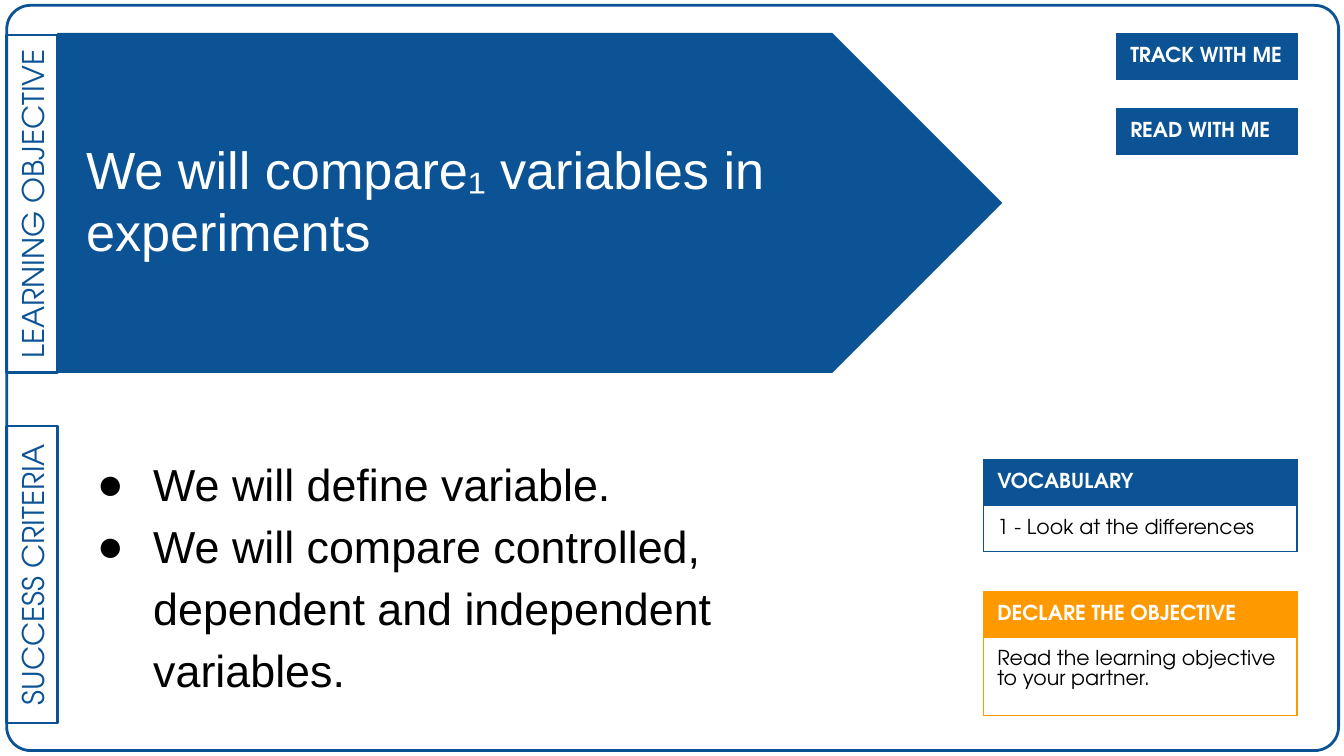
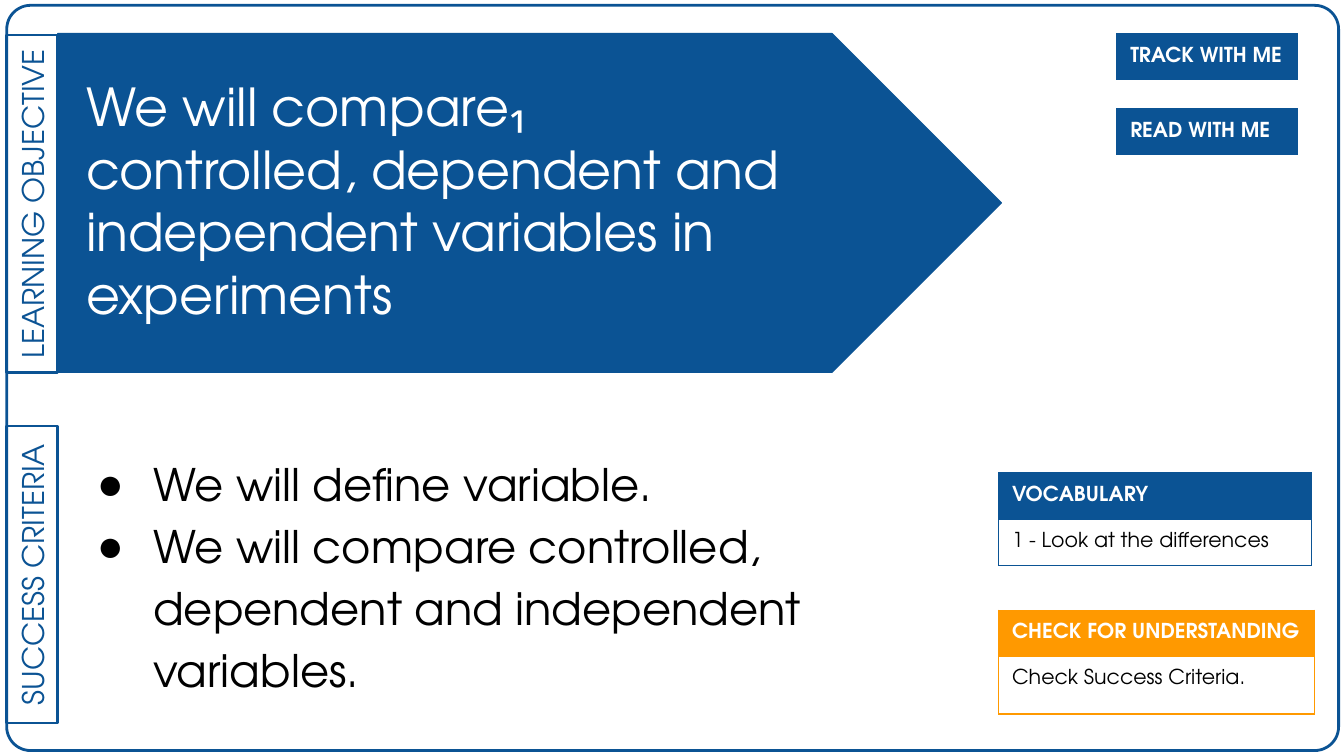
from dataclasses import dataclass

from lxml.etree import SubElement
from pptx import Presentation
from pptx.dml.color import RGBColor as RGB
from pptx.enum.shapes import MSO_SHAPE as SHAPE
from pptx.enum.text import MSO_ANCHOR as ANCHOR, MSO_AUTO_SIZE as FIT, PP_ALIGN as ALIGN
from pptx.oxml.ns import qn
from pptx.util import Inches, Pt


@dataclass(frozen=True)
class Theme:
    blue: str = "0B5394"
    orange: str = "FF9900"
    white: str = "FFFFFF"
    black: str = "000000"
    sans: str = "Arial"
    geometric: str = "TeX Gyre Adventor"
    title: int = 28
    body: int = 24
    tab: int = 16
    card: int = 11
    frame_line: float = 1.5
    thin_line: float = 0.75


T = Theme()
WIDTH, HEIGHT = 10, 5.625
INSET = 0.1
TAB_LEFT, TAB_WIDTH = 0.05, 0.38
TOP = 0.25
ROW = 0.34
CUE_LEFT, CUE_WIDTH, CUE_STEP = 8.31, 1.34, 0.56
TITLE_BOX = (0.54, 0.48, 5.54, 2.01)
BODY_BOX = (0.54, 3.16, 5.68, 2.2)

TABS = [("LEARNING OBJECTIVE", 0.26, 2.51), ("SUCCESS CRITERIA", 3.17, 2.21)]
CUES = ["TRACK WITH ME", "READ WITH ME"]
CRITERIA = [
    "We will define variable.",
    "We will compare controlled, dependent and independent variables.",
]
VOCABULARY = ("VOCABULARY", "1 - Look at the differences")

# Each card: (heading, text), colour, top, width, height of the text row
SLIDES = [
    {
        "font": T.sans,
        "objective": "We will compare₁ variables in experiments",
        "card_left": 7.32,
        "cards": [
            (VOCABULARY, T.blue, 3.42, 2.33, ROW),
            (("DECLARE THE OBJECTIVE", "Read the learning objective to your partner."),
             T.orange, 4.4, 2.33, 0.58),
        ],
    },
    {
        "font": T.geometric,
        "objective": "We will compare₁ controlled, dependent and independent "
                     "variables in experiments",
        "card_left": 7.43,
        "cards": [
            (VOCABULARY, T.blue, 3.52, 2.33, ROW),
            (("CHECK FOR UNDERSTANDING", "Check Success Criteria."),
             T.orange, 4.54, 2.35, 0.43),
        ],
    },
]


def inches(box):
    return [Inches(v) for v in box]


def add_run(p, text, font, size, color, bold=False):
    r = p.add_run()
    r.text = text
    r.font.name, r.font.size, r.font.bold = font, Pt(size), bold
    r.font.color.rgb = RGB.from_string(color)


def set_insets(target):
    target.margin_left = target.margin_right = Inches(INSET)
    target.margin_top = target.margin_bottom = Inches(INSET)


def add_outline(slide, kind, box, weight, fill=None):
    sp = slide.shapes.add_shape(kind, *inches(box))
    sp.shadow.inherit = False
    sp.line.color.rgb = RGB.from_string(T.blue)
    sp.line.width = Pt(weight)
    if fill:
        sp.fill.solid()
        sp.fill.fore_color.rgb = RGB.from_string(fill)
    else:
        sp.fill.background()
    return sp


def add_tab(slide, label, top, length):
    """Add a side tab whose label reads upwards."""
    left = TAB_LEFT + (TAB_WIDTH - length) / 2
    upright_top = top + (length - TAB_WIDTH) / 2
    sp = add_outline(slide, SHAPE.RECTANGLE, (left, upright_top, length, TAB_WIDTH),
                     T.frame_line)
    sp.rotation = 270
    tf = sp.text_frame
    set_insets(tf)
    tf.vertical_anchor = ANCHOR.MIDDLE
    tf.paragraphs[0].alignment = ALIGN.CENTER
    add_run(tf.paragraphs[0], label, T.geometric, T.tab, T.blue)


def add_backdrop(slide, layout):
    """Draw the frame, tabs and arrow, then hand them to the layout."""
    frame = add_outline(slide, SHAPE.ROUNDED_RECTANGLE,
                        (TAB_LEFT, 0.04, 9.91, HEIGHT - 0.08), T.frame_line)
    frame.adjustments[0] = 0.032
    add_outline(slide, SHAPE.PENTAGON, (TAB_LEFT + TAB_WIDTH, TOP, 7.02, 2.52),
                T.thin_line, T.blue)
    for tab in TABS:
        add_tab(slide, *tab)
    for sp in list(slide.shapes):
        if not sp.is_placeholder:
            layout.shapes._spTree.append(sp._element)


def fill_placeholder(sp, box, lines, font, size, color):
    sp.left, sp.top, sp.width, sp.height = inches(box)
    tf = sp.text_frame
    tf.word_wrap, tf.auto_size = True, FIT.NONE
    tf.vertical_anchor = ANCHOR.MIDDLE
    set_insets(tf)
    for i, line in enumerate(lines):
        p = tf.paragraphs[0] if i == 0 else tf.add_paragraph()
        p.alignment = ALIGN.LEFT
        p.space_before = Pt(0)
        add_run(p, line, font, size, color)
    return tf.paragraphs


def add_bullet(p):
    pPr = p._p.get_or_add_pPr()
    pPr.set("marL", str(Inches(0.5)))
    pPr.set("indent", str(Inches(-0.42)))
    SubElement(SubElement(pPr, qn("a:buClr")), qn("a:srgbClr"), val=T.black)
    SubElement(pPr, qn("a:buChar"), char="●")
    p.line_spacing = 1.15


def set_borders(cell, color):
    tcPr = cell._tc.get_or_add_tcPr()
    for i, side in enumerate(("lnL", "lnR", "lnT", "lnB")):
        ln = SubElement(tcPr, qn(f"a:{side}"), w=str(Pt(T.thin_line)))
        SubElement(SubElement(ln, qn("a:solidFill")), qn("a:srgbClr"), val=color)
        tcPr.insert(i, ln)


def add_card(slide, texts, color, left, top, width, heights):
    """Add a one-column table with a coloured heading row."""
    box = (left, top, width, sum(heights))
    table = slide.shapes.add_table(len(texts), 1, *inches(box)).table
    table.first_row = table.horz_banding = False
    for i, (text, height) in enumerate(zip(texts, heights)):
        heading = i == 0
        table.rows[i].height = Inches(height)
        cell = table.cell(i, 0)
        set_insets(cell)
        if heading:
            cell.fill.solid()
            cell.fill.fore_color.rgb = RGB.from_string(color)
        else:
            cell.fill.background()
        set_borders(cell, color)
        add_run(cell.text_frame.paragraphs[0], text, T.geometric, T.card,
                T.white if heading else T.black, heading)


def add_lesson_slide(prs, layout, lesson):
    slide = prs.slides.add_slide(layout)
    title, body = slide.placeholders
    fill_placeholder(title, TITLE_BOX, [lesson["objective"]], lesson["font"],
                     T.title, T.white)
    for p in fill_placeholder(body, BODY_BOX, CRITERIA, lesson["font"], T.body, T.black):
        add_bullet(p)
    return slide


def main():
    prs = Presentation()
    prs.slide_width, prs.slide_height = Inches(WIDTH), Inches(HEIGHT)
    layout = prs.slide_layouts[1]
    for i, lesson in enumerate(SLIDES):
        slide = add_lesson_slide(prs, layout, lesson)
        if i == 0:
            add_backdrop(slide, layout)
        for row, cue in enumerate(CUES):
            add_card(slide, [cue], T.blue, CUE_LEFT, TOP + row * CUE_STEP,
                     CUE_WIDTH, [ROW])
        for texts, color, top, width, height in lesson["cards"]:
            add_card(slide, texts, color, lesson["card_left"], top, width,
                     [ROW, height])
    prs.save("out.pptx")


if __name__ == "__main__":
    main()
